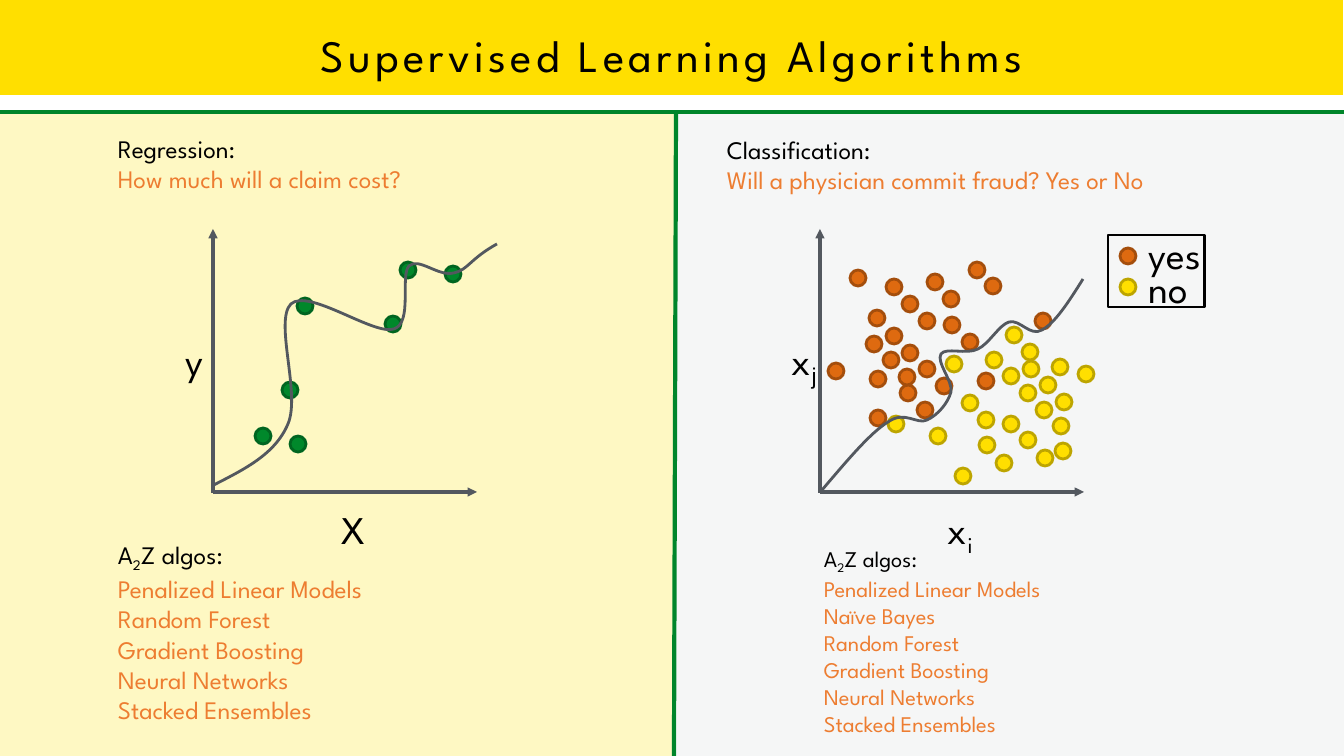
from pptx import Presentation, util as u
from pptx.dml.color import RGBColor
from pptx.enum import shapes, text
from pptx.oxml.ns import qn
from lxml import etree

FONT = "League Spartan"
BLACK, ORANGE, GREEN, GRAY = "000000", "ED7D31", "00852A", "53585F"
OVAL, RECT = shapes.MSO_SHAPE.OVAL, shapes.MSO_SHAPE.RECTANGLE
DOT = 16
LEAF, RUST, GOLD = ("00882B", "006520"), ("DE6A10", "A44E0C"), ("FFDF00", "BDA500")


def px(n):
    return u.Emu(round(n * 914400 / 100.8))


def tint(code):
    return RGBColor.from_string(code)


def put(item, vals):
    for key, val in vals.items():
        setattr(item, key, val)


class Page:
    def __init__(self, wide, high):
        self.deck = Presentation()
        put(self.deck, {"slide_width": px(wide), "slide_height": px(high)})
        self.slide = self.deck.slides.add_slide(self.deck.slide_layouts[6])
        self.items = self.slide.shapes

    def paint(self, item, fill=None, line=None, width=2, alpha=None):
        item.shadow.inherit = False
        if fill:
            item.fill.solid()
            item.fill.fore_color.rgb = tint(fill)
        else:
            item.fill.background()
        if alpha:
            node = item._element.spPr.find(".//" + qn("a:srgbClr"))
            etree.SubElement(node, qn("a:alpha")).set("val", str(alpha * 1000))
        if line:
            item.line.color.rgb = tint(line)
            item.line.width = u.Pt(width)
        else:
            item.line.fill.background()

    def shape(self, kind, box, **look):
        self.paint(self.items.add_shape(kind, *map(px, box)), **look)

    def dots(self, spots, look):
        for x, y in spots:
            self.shape(OVAL, (x, y, DOT, DOT), fill=look[0], line=look[1])

    def line(self, ends, color, width, arrow=False):
        item = self.items.add_connector(shapes.MSO_CONNECTOR.STRAIGHT, *map(px, ends))
        item.line.color.rgb = tint(color)
        item.line.width = u.Pt(width)
        props = item._element.spPr
        if arrow:
            etree.SubElement(props.find(qn("a:ln")), qn("a:tailEnd")).set("type", "triangle")
        etree.SubElement(props, qn("a:effectLst"))

    def axes(self, x):
        self.line((x, 492, x + 264, 492), GRAY, 2.25, True)
        self.line((x, 493, x, 229), GRAY, 2.25, True)

    def curve(self, start, spots):
        """Every three spots are two handles and the end of a cubic curve."""
        pen = self.items.build_freeform(*map(px, start))
        pen.add_line_segments([tuple(map(px, s)) for s in spots], close=False)
        item = pen.convert_to_shape()
        self.paint(item, line=GRAY)
        legs = list(item._element.iter(qn("a:lnTo")))
        for k in range(0, len(legs), 3):
            bend = etree.SubElement(legs[k].getparent(), qn("a:cubicBezTo"))
            for leg in legs[k:k + 3]:
                bend.append(leg[0])
                leg.getparent().remove(leg)

    def text(self, box, lines, size, inset=10, low=FONT, space=0, **form):
        """Lines are (words, color); a part between bars is a subscript."""
        frame = self.items.add_textbox(*map(px, box)).text_frame
        put(frame, {"word_wrap": True, "margin_left": px(inset), "margin_right": px(inset),
                    "margin_top": px(5), "margin_bottom": px(5), **form})
        for n, (words, color) in enumerate(lines):
            para = frame.add_paragraph() if n else frame.paragraphs[0]
            if space:
                para.alignment = text.PP_ALIGN.CENTER
            for k, part in enumerate(words.split("|")):
                if not part:
                    continue
                run = para.add_run()
                run.text = part
                put(run.font, {"name": low if k % 2 else FONT, "size": u.Pt(size)})
                run.font.color.rgb = tint(color)
                marks = run._r.get_or_add_rPr()
                if k % 2:
                    marks.set("baseline", "-25000")
                if space:
                    marks.set("spc", str(space * 100))

    def label(self, x, y, words, low=FONT):
        self.text((x, y, 85, 57), [(words, BLACK)], 28, low=low)

    def block(self, box, head, rest, size=18):
        self.text(box, [(head, BLACK)] + [(r, ORANGE) for r in rest], size, inset=5)


page = Page(1344, 756)

# Header band, panels and rules
page.shape(RECT, (-1, -1, 1344, 96), fill="FFDF00")
page.shape(RECT, (677, 114, 667, 642), fill="C4C8CB", alpha=16)
page.shape(RECT, (0, 114, 674, 645), fill="FDE831", alpha=29)
page.line((676, 112, 674, 759), GREEN, 3)
page.line((0, 112, 1344, 112), GREEN, 3)

# Regression plot
page.dots([(445, 266)], LEAF)
page.axes(213)
page.dots([(255, 428), (290, 436), (282, 382), (297, 298), (385, 316), (400, 262)], LEAF)
page.curve((212, 486), [
    (243, 470), (275, 455), (288, 424), (301, 394), (274, 321), (291, 304),
    (309, 288), (374, 336), (394, 329), (413, 323), (400, 276), (409, 266),
    (419, 257), (438, 277), (454, 273), (468, 270), (470, 259), (497, 244)])
page.label(332, 500, "X")
page.label(176, 331, "y")
page.block((113, 128, 457, 72), "Regression:", ["How much will a claim cost?"])

# Classification plot
page.block((722, 129, 556, 72), "Classification:",
           ["Will a physician commit fraud? Yes or No"])
page.dots([(886, 279), (869, 310), (886, 328), (927, 274), (866, 336), (870, 371),
           (902, 296), (850, 270), (902, 345), (919, 313), (944, 317), (919, 361),
           (969, 262), (883, 352), (900, 385), (828, 363), (943, 291), (870, 410),
           (978, 373), (1035, 313), (962, 334), (936, 378), (985, 278), (899, 369),
           (917, 402)], RUST)
page.dots([(1037, 450), (1053, 418), (1036, 402), (996, 455), (1056, 394), (1052, 359),
           (1020, 432), (1055, 443), (1020, 385), (1003, 416), (978, 412), (1003, 368),
           (955, 468), (1040, 377), (1022, 344), (1078, 366), (979, 437), (946, 356),
           (888, 416), (962, 395), (986, 352), (930, 428), (1023, 361), (1006, 327)], GOLD)
page.axes(820)
page.label(938, 500, "x|i")
page.label(782, 331, "x|j", low="Arial")
page.curve((822, 490), [
    (846, 462), (870, 433), (888, 422), (905, 410), (917, 425), (927, 420),
    (938, 415), (948, 403), (951, 392), (953, 381), (936, 362), (941, 354),
    (946, 347), (967, 355), (978, 349), (989, 344), (999, 325), (1009, 322),
    (1020, 319), (1030, 337), (1042, 330), (1055, 323), (1068, 303), (1083, 279)])

# Legend
for y, top, word, look in ((248, 225, "yes", RUST), (279, 259, "no", GOLD)):
    page.dots([(1120, y)], look)
    page.label(1139, top, word)
page.shape(RECT, (1108, 235, 97, 72), line=BLACK)

# Lists of algorithms
HEAD = "A|2|Z algos:"
FIRST = "Penalized Linear Models"
REST = ["Random Forest", "Gradient Boosting", "Neural Networks", "Stacked Ensembles"]
page.block((113, 534, 457, 194), HEAD, [FIRST] + REST)
page.block((819, 540, 457, 201), HEAD, [FIRST, "Naïve Bayes"] + REST, 16)

# Title
page.text((0, 0, 1344, 109), [("Supervised Learning Algorithms", BLACK)], 32,
          space=3, vertical_anchor=text.MSO_ANCHOR.MIDDLE)

page.deck.save("out.pptx")
